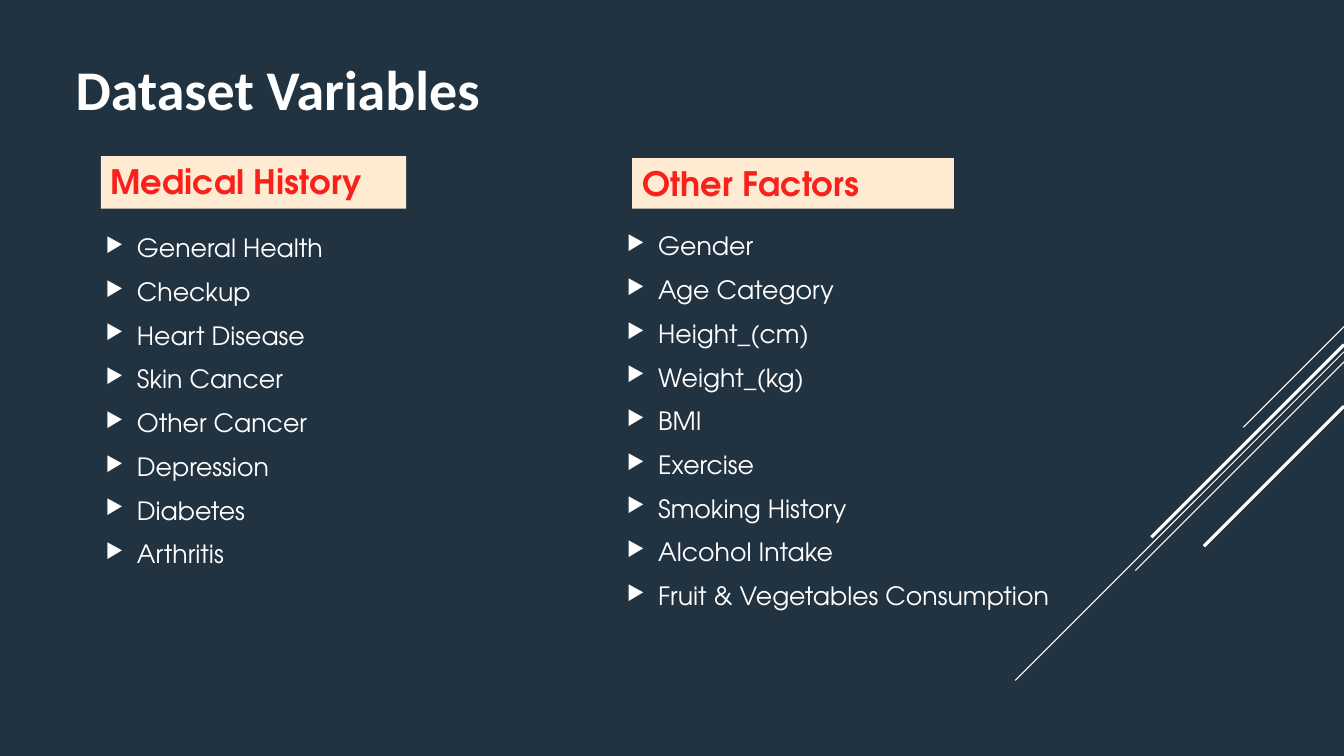
from lxml import etree
from pptx import Presentation
from pptx.dml.color import RGBColor
from pptx.enum.shapes import MSO_CONNECTOR, MSO_SHAPE
from pptx.enum.text import MSO_ANCHOR, MSO_AUTO_SIZE, PP_ALIGN
from pptx.oxml.ns import qn
from pptx.util import Inches, Pt

LINE, RECT = MSO_CONNECTOR.STRAIGHT, MSO_SHAPE.RECTANGLE
TOP, BOTTOM = MSO_ANCHOR.TOP, MSO_ANCHOR.BOTTOM
LEFT, JUSTIFY = PP_ALIGN.LEFT, PP_ALIGN.JUSTIFY
FIXED = MSO_AUTO_SIZE.NONE

TITLE = ("Dataset Variables", (0.65, 0.69, 4.6, 0.57))
# heading, heading box, items, list box
GROUPS = [
    ("Medical History", (1, 1.55, 3.03, 0.52),
     ["General Health", "Checkup", "Heart Disease", "Skin Cancer",
      "Other Cancer", "Depression", "Diabetes", "Arthritis"],
     (0.95, 2.26, 4.79, 5.24)),
    ("Other Factors", (6.27, 1.57, 3.19, 0.5),
     ["Gender", "Age Category", "Height_(cm)", "Weight_(kg)", "BMI",
      "Exercise", "Smoking History", "Alcohol Intake",
      "Fruit & Vegetables Consumption"],
     (6.12, 2.24, 4.68, 3.99)),
]
# start height on the right edge, run down and left at 45 degrees, weight
RAYS = [(3.24, 1, 0.75), (3.49, 3.26, 0.75), (3.59, 2.07, 0.75),
        (3.42, 1.91, 2.25), (4.03, 1.39, 2.25)]

WIDE, HIGH = 13.33, 7.5
INDENT = 0.31
BULLET = "▶"
BULLET_SIZE = 80000
THEME = {
    "back": RGBColor.from_string("213240"),
    "white": RGBColor.from_string("FFFFFF"),
    "band": RGBColor.from_string("FEEBD2"),
    "red": RGBColor.from_string("F9211B"),
}
FONTS = {
    "title": {"name": "Calibri", "size": Pt(40), "bold": True},
    "head": {"name": "TeX Gyre Adventor", "size": Pt(24), "bold": True},
    "item": {"name": "TeX Gyre Adventor", "size": Pt(18), "bold": False},
}


def style(item, values):
    for key, value in values.items():
        setattr(item, key, value)


def place(shape, box):
    names = ("left", "top", "width", "height")
    style(shape, dict(zip(names, map(Inches, box))))


def write(shape, lines, font, color, anchor=TOP, align=LEFT):
    frame = shape.text_frame
    frame.text = "\n".join(lines)
    style(frame, {"word_wrap": True, "auto_size": FIXED,
                  "vertical_anchor": anchor})
    for para in frame.paragraphs:
        para.alignment = align
        style(para.runs[0].font, FONTS[font])
        para.runs[0].font.color.rgb = THEME[color]
    return frame.paragraphs


def add_bullet(para):
    style(para, {"space_before": Pt(3.6), "space_after": Pt(6)})
    props = para._p.get_or_add_pPr()
    props.set("marL", str(Inches(INDENT)))
    props.set("indent", str(-Inches(INDENT)))
    tint = etree.SubElement(props, qn("a:buClr"))
    etree.SubElement(tint, qn("a:srgbClr"), val=str(THEME["white"]))
    etree.SubElement(props, qn("a:buSzPct"), val=str(BULLET_SIZE))
    etree.SubElement(props, qn("a:buChar"), char=BULLET)


def add_ray(shapes, top, run, weight):
    ends = (WIDE, top, WIDE - run, top + run)
    ray = shapes.add_connector(LINE, *map(Inches, ends))
    ray.line.color.rgb = THEME["white"]
    ray.line.width = Pt(weight)
    etree.SubElement(ray._element.spPr, qn("a:effectLst"))


def add_group(shapes, head, head_box, items, list_box):
    body = shapes.add_textbox(*map(Inches, list_box))
    for para in write(body, items, "item", "white", align=JUSTIFY):
        add_bullet(para)
    band = shapes.add_shape(RECT, *map(Inches, head_box))
    band.shadow.inherit = False
    band.fill.solid()
    band.fill.fore_color.rgb = THEME["band"]
    band.line.fill.background()
    write(band, [head], "head", "red")


def main():
    deck = Presentation()
    style(deck, {"slide_width": Inches(WIDE), "slide_height": Inches(HIGH)})
    slide = deck.slides.add_slide(deck.slide_layouts[5])
    slide.background.fill.solid()
    slide.background.fill.fore_color.rgb = THEME["back"]
    for ray in RAYS:
        add_ray(slide.shapes, *ray)
    text, box = TITLE
    title = slide.shapes.title
    place(title, box)
    write(title, [text], "title", "white", BOTTOM)
    for group in GROUPS:
        add_group(slide.shapes, *group)
    deck.save("out.pptx")


if __name__ == "__main__":
    main()
